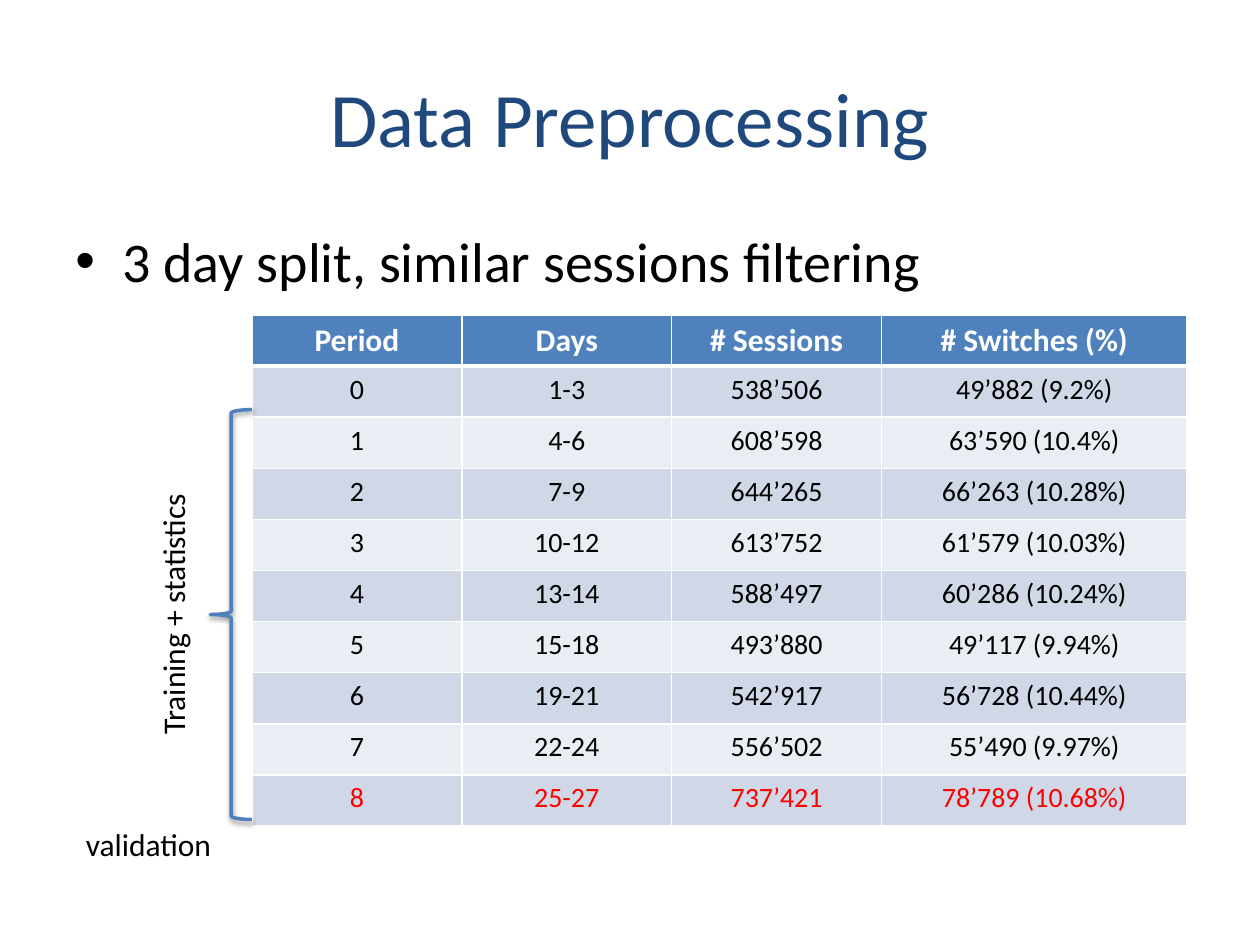
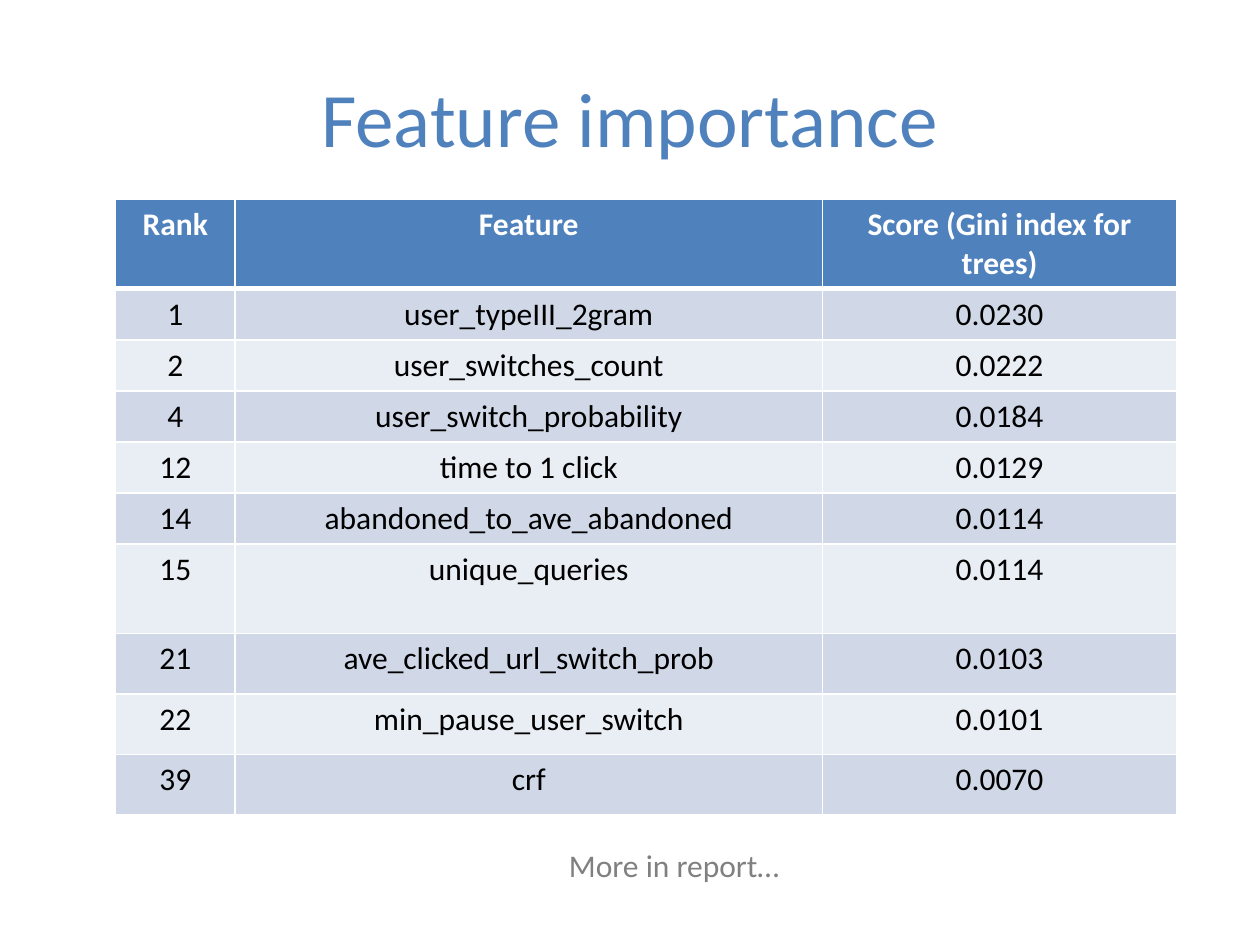
"""Build two slides: a data split table and a feature importance table."""
import dataclasses

import lxml.etree
import pptx
import pptx.dml.color
import pptx.enum.shapes
import pptx.enum.text
import pptx.oxml
import pptx.oxml.ns
import pptx.util

Cm, Pt = pptx.util.Cm, pptx.util.Pt
qn = pptx.oxml.ns.qn
ALIGN = pptx.enum.text.PP_ALIGN
ANCHOR = pptx.enum.text.MSO_ANCHOR


@dataclasses.dataclass(frozen=True)
class Theme:
    font: str = "Calibri"
    navy: str = "1F497D"
    blue: str = "4F81BD"
    black: str = "000000"
    white: str = "FFFFFF"
    red: str = "FF0000"
    grey: str = "808080"
    bands: tuple = ("D0D8E8", "E9EDF4")
    title: int = 44
    body: int = 32
    label: int = 18
    small: int = 16


T = Theme()

PERIODS = [
    ("Period", "Days", "# Sessions", "# Switches (%)"),
    ("0", "1-3", "538’506", "49’882 (9.2%)"),
    ("1", "4-6", "608’598", "63’590 (10.4%)"),
    ("2", "7-9", "644’265", "66’263 (10.28%)"),
    ("3", "10-12", "613’752", "61’579 (10.03%)"),
    ("4", "13-14", "588’497", "60’286 (10.24%)"),
    ("5", "15-18", "493’880", "49’117 (9.94%)"),
    ("6", "19-21", "542’917", "56’728 (10.44%)"),
    ("7", "22-24", "556’502", "55’490 (9.97%)"),
    ("8", "25-27", "737’421", "78’789 (10.68%)"),
]
PERIOD_COLS = [4.23, 4.23, 4.23, 6.16]
PERIOD_ROWS = [1.03] * len(PERIODS)

FEATURES = [
    ("Rank", "Feature", "Score (Gini index for trees)"),
    ("1", "user_typeIII_2gram", "0.0230"),
    ("2", "user_switches_count", "0.0222"),
    ("4", "user_switch_probability", "0.0184"),
    ("12", "time to 1 click", "0.0129"),
    ("14", "abandoned_to_ave_abandoned", "0.0114"),
    ("15", "unique_queries", "0.0114"),
    ("21", "ave_clicked_url_switch_prob", "0.0103"),
    ("22", "min_pause_user_switch", "0.0101"),
    ("39", "crf", "0.0070"),
]
FEATURE_COLS = [2.41, 11.84, 7.14]
FEATURE_ROWS = [1.8] + [1.03] * 5 + [1.8] + [1.22] * 3


def rgb(color):
    return pptx.dml.color.RGBColor.from_string(color)


def write(tf, text, size=T.label, color=T.black, bold=False, align=ALIGN.LEFT):
    p = tf.paragraphs[0]
    p.alignment = align
    r = p.add_run()
    r.text = text
    r.font.name = T.font
    r.font.size = Pt(size)
    r.font.bold = bold
    r.font.color.rgb = rgb(color)
    return p


def add_label(s, box, text, wrap=True, anchor=ANCHOR.TOP, rotation=0, **fmt):
    sp = s.shapes.add_textbox(*map(Cm, box))
    sp.rotation = rotation
    tf = sp.text_frame
    tf.word_wrap = wrap
    tf.vertical_anchor = anchor
    return write(tf, text, **fmt)


def add_slide(prs, title, color):
    s = prs.slides.add_slide(prs.slide_layouts[6])
    add_label(s, (1.27, 0.76, 22.86, 3.18), title, anchor=ANCHOR.MIDDLE,
              size=T.title, color=color, align=ALIGN.CENTER)
    return s


def add_bullet(p, indent):
    pPr = p._p.get_or_add_pPr()
    pPr.set("marL", str(Cm(indent)))
    pPr.set("indent", str(-Cm(indent)))
    lxml.etree.SubElement(pPr, qn("a:buFont")).set("typeface", "Arial")
    lxml.etree.SubElement(pPr, qn("a:buChar")).set("char", "•")


def add_borders(cell, bottom):
    tcPr = cell._tc.get_or_add_tcPr()
    for side, width in zip("LRTB", (1, 1, 1, bottom)):
        ln = lxml.etree.SubElement(tcPr, qn(f"a:ln{side}"), w=str(Pt(width)))
        fill = lxml.etree.SubElement(ln, qn("a:solidFill"))
        lxml.etree.SubElement(fill, qn("a:srgbClr"), val=T.white)


def add_grid(s, left, top, rows, widths, heights, size, marked=None):
    frame = s.shapes.add_table(len(rows), len(widths), Cm(left), Cm(top),
                               Cm(sum(widths)), Cm(sum(heights)))
    table = frame.table
    for column, width in zip(table.columns, widths):
        column.width = Cm(width)
    for i, (row, height) in enumerate(zip(rows, heights)):
        table.rows[i].height = Cm(height)
        head = i == 0
        color = T.white if head else T.red if i == marked else T.black
        for j, text in enumerate(row):
            cell = table.cell(i, j)
            add_borders(cell, 3 if head else 1)
            cell.fill.solid()
            cell.fill.fore_color.rgb = rgb(T.blue if head else T.bands[(i - 1) % 2])
            write(cell.text_frame, text, size=T.label if head else size,
                  color=color, bold=head, align=ALIGN.CENTER)


def add_brace(s, box):
    sp = s.shapes.add_shape(pptx.enum.shapes.MSO_SHAPE.LEFT_BRACE, *map(Cm, box))
    sp.shadow.inherit = False
    sp.fill.background()
    sp.line.color.rgb = rgb(T.blue)
    sp.line.width = Pt(2)
    effects = sp._element.spPr.find(qn("a:effectLst"))
    shadow = lxml.etree.SubElement(
        effects, qn("a:outerShdw"), blurRad=str(Pt(3.1)), dist=str(Pt(1.6)),
        dir="5400000", rotWithShape="0")
    color = lxml.etree.SubElement(shadow, qn("a:srgbClr"), val=T.black)
    lxml.etree.SubElement(color, qn("a:alpha"), val="38000")


def build_preprocessing(prs):
    s = add_slide(prs, "Data Preprocessing", T.navy)
    p = add_label(s, (1.27, 4.45, 22.86, 12.57),
                  "3 day split, similar sessions filtering", size=T.body)
    add_bullet(p, 0.95)
    add_grid(s, 5.08, 6.35, PERIODS, PERIOD_COLS, PERIOD_ROWS, T.small,
             marked=len(PERIODS) - 1)
    add_brace(s, (4.24, 8.26, 0.84, 8.26))
    add_label(s, (0.21, 11.87, 6.56, 1.03), "Training + statistics",
              rotation=270, align=ALIGN.CENTER)
    add_label(s, (1.48, 16.51, 3.07, 1.03), "validation", wrap=False)


def build_importance(prs):
    s = add_slide(prs, "Feature importance", T.blue)
    add_grid(s, 2.33, 4.02, FEATURES, FEATURE_COLS, FEATURE_ROWS, T.label)
    add_label(s, (11.22, 16.93, 12.5, 1.03), "More in report…", color=T.grey)


def main():
    prs = pptx.Presentation()
    prs.slide_width, prs.slide_height = Cm(25.4), Cm(19.05)
    build_preprocessing(prs)
    build_importance(prs)
    prs.save("out.pptx")


if __name__ == "__main__":
    main()
